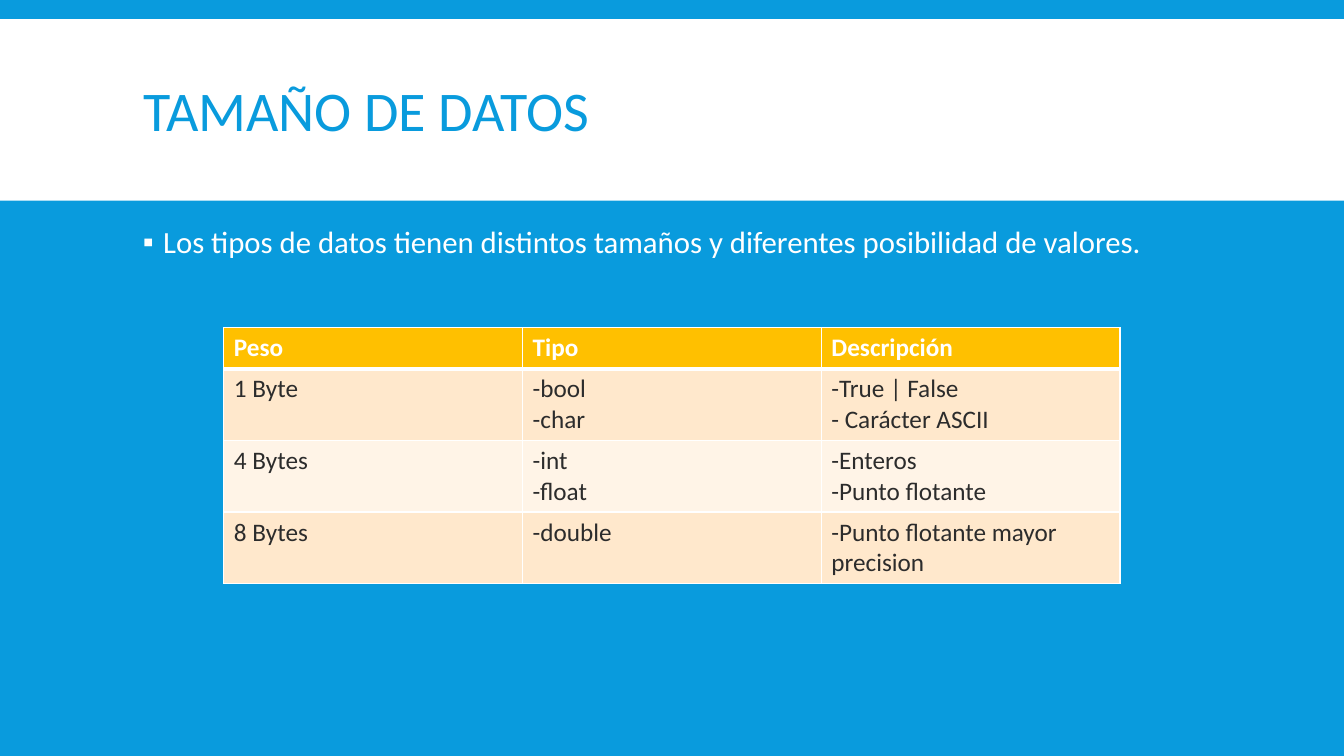
from lxml import etree
from pptx import Presentation
from pptx.dml.color import RGBColor
from pptx.enum import shapes, text
from pptx.oxml.ns import qn
from pptx.util import Inches, Pt

COLORS = {
    "blue": "099BDD",
    "white": "FFFFFF",
    "header": "FFC000",
    "odd_row": "FFE8CC",
    "even_row": "FFF4E7",
    "ink": "2C2C2C",
}
FONT = "Calibri"
ROWS = [
    ["Peso", "Tipo", "Descripción"],
    ["1 Byte", "-bool\n-char", "-True | False\n- Carácter ASCII"],
    ["4 Bytes", "-int\n-float", "-Enteros\n-Punto flotante"],
    ["8 Bytes", "-double", "-Punto flotante mayor precision"],
]


def paint(fill, color):
    fill.solid()
    fill.fore_color.rgb = RGBColor.from_string(COLORS[color])


def write(frame, content, size, color, bold=False, line_spacing=1.0, before=0, after=0):
    frame.word_wrap = True
    frame.text = content
    for paragraph in frame.paragraphs:
        paragraph.alignment = text.PP_ALIGN.LEFT
        paragraph.line_spacing = line_spacing
        paragraph.space_before = Pt(before)
        paragraph.space_after = Pt(after)
        for run in paragraph.runs:
            run.font.name = FONT
            run.font.size = Pt(size)
            run.font.bold = bold
            run.font.color.rgb = RGBColor.from_string(COLORS[color])


def add_bullet(paragraph, indent, color):
    properties = paragraph._p.get_or_add_pPr()
    properties.set("marL", str(Inches(indent)))
    properties.set("indent", str(-Inches(indent)))
    bullet_color = etree.SubElement(properties, qn("a:buClr"))
    etree.SubElement(bullet_color, qn("a:srgbClr"), val=COLORS[color])
    etree.SubElement(properties, qn("a:buFont"), typeface="Arial")
    etree.SubElement(properties, qn("a:buChar"), char="▪")


def add_borders(cell, bottom, top):
    """Draw white cell borders; widths are in points."""
    properties = cell._tc.get_or_add_tcPr()
    widths = {"a:lnL": 1, "a:lnR": 1, "a:lnT": top, "a:lnB": bottom}
    for position, (side, width) in enumerate(widths.items()):
        line = etree.Element(qn(side), w=str(Pt(width)))
        fill = etree.SubElement(line, qn("a:solidFill"))
        etree.SubElement(fill, qn("a:srgbClr"), val=COLORS["white"])
        properties.insert(position, line)


def add_heading(slide, left, top, width, height):
    band = slide.shapes.add_shape(
        shapes.MSO_SHAPE.RECTANGLE, *map(Inches, (left, top, width, height)))
    band.shadow.inherit = False
    paint(band.fill, "white")
    band.line.fill.background()
    slide.shapes._spTree.insert(2, band._element)  # behind the title

    title = slide.shapes.title
    title.left, title.top = Inches(left + 1.32), Inches(top + 0.12)
    title.width, title.height = Inches(10.7), Inches(1.65)
    write(title.text_frame, "TAMAÑO DE DATOS", 40, "blue", line_spacing=0.85)
    title.text_frame.vertical_anchor = text.MSO_ANCHOR.MIDDLE
    title.text_frame.auto_size = text.MSO_AUTO_SIZE.NONE


def add_body(slide, left, top, width, height):
    body = slide.shapes.add_textbox(*map(Inches, (left, top, width, height))).text_frame
    write(body, "Los tipos de datos tienen distintos tamaños y diferentes posibilidad de valores.",
          22, "white", line_spacing=0.9, before=12, after=2)
    add_bullet(body.paragraphs[0], 0.2, "white")


def add_size_table(slide, left, top, width, height):
    header_height = 0.41
    table = slide.shapes.add_table(
        len(ROWS), len(ROWS[0]), *map(Inches, (left, top, width, height))).table
    for column in table.columns:
        column.width = Inches(width / len(ROWS[0]))
    for r, entries in enumerate(ROWS):
        is_header = r == 0
        row_height = header_height if is_header else (height - header_height) / (len(ROWS) - 1)
        table.rows[r].height = Inches(row_height)
        row_fill = "header" if is_header else "odd_row" if r % 2 else "even_row"
        for c, entry in enumerate(entries):
            cell = table.cell(r, c)
            write(cell.text_frame, entry, 18, "white" if is_header else "ink", bold=is_header)
            paint(cell.fill, row_fill)
            add_borders(cell, bottom=3 if is_header else 1, top=3 if r == 1 else 1)


def main():
    deck = Presentation()
    deck.slide_width, deck.slide_height = Inches(13.33), Inches(7.5)
    slide = deck.slides.add_slide(deck.slide_layouts.get_by_name("Title Only"))
    paint(slide.background.fill, "blue")
    add_heading(slide, 0, 0.19, 13.33, 1.8)
    add_body(slide, 1.32, 2.2, 10.7, 4.6)
    add_size_table(slide, 2.22, 3.25, 8.89, 2.54)
    deck.save("out.pptx")


if __name__ == "__main__":
    main()
